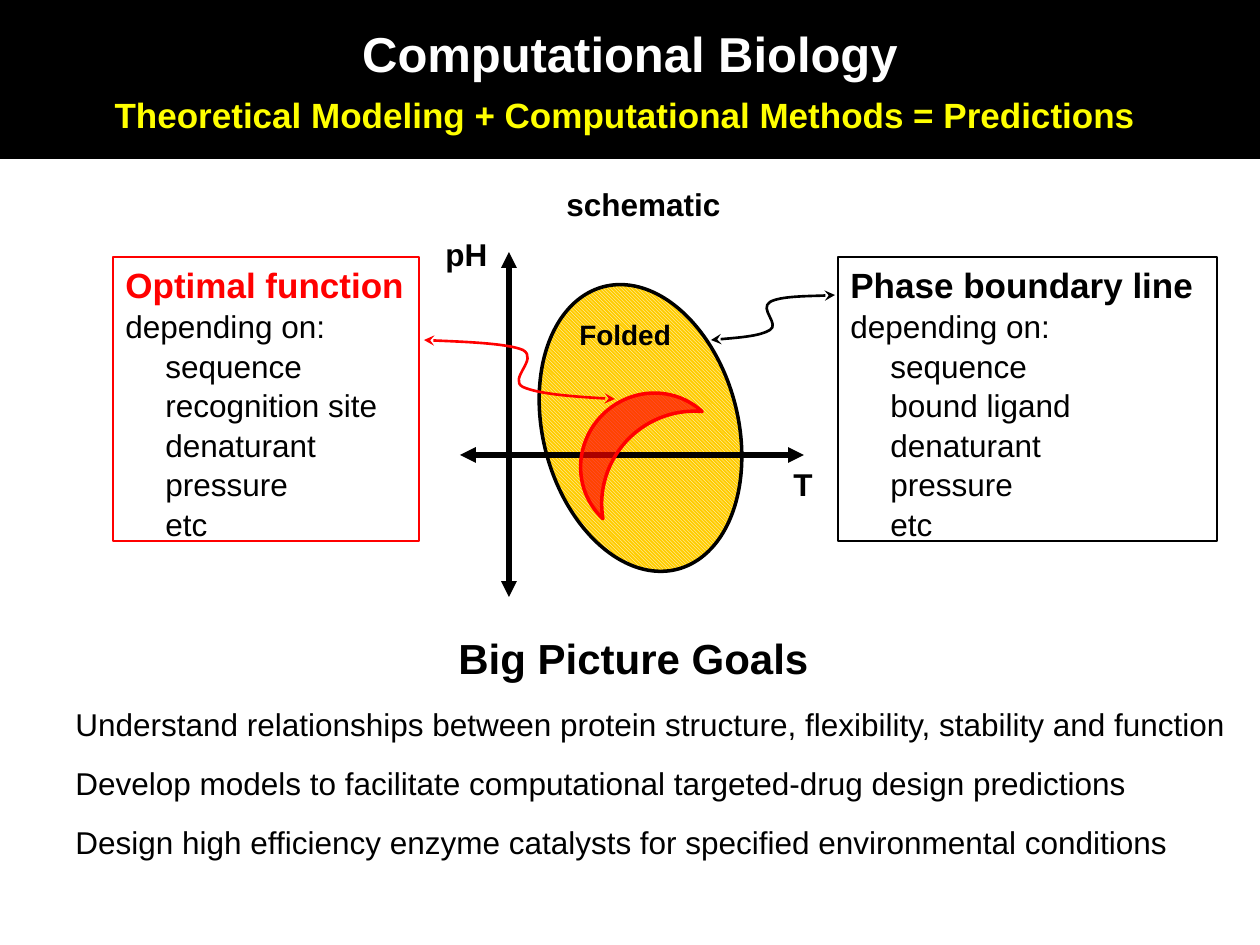
from lxml import etree
from pptx import Presentation, util as u
from pptx.dml.color import RGBColor
from pptx.enum import dml, shapes, text
from pptx.oxml import ns

BLACK = RGBColor(0, 0, 0)
WHITE = RGBColor(255, 255, 255)
RED = RGBColor(255, 0, 0)
YELLOW = RGBColor(255, 255, 0)
GOLD = RGBColor(255, 204, 0)
SCALE = u.Inches(1) / 126
FACTORS = ["denaturant", "pressure", "etc"]


def px(*lengths):
    """Turn pixel lengths into EMU."""
    return [u.Emu(round(length * SCALE)) for length in lengths]


def apply(target, values):
    """Set each attribute named in values on the target."""
    for name, value in values.items():
        setattr(target, name, value)


def write(paragraph, words, size, color=BLACK, bold=False):
    """Fill a paragraph with one run of formatted words."""
    run = paragraph.add_run()
    run.text = words
    apply(run.font, {"name": "Arial", "size": u.Pt(size), "bold": bold})
    run.font.color.rgb = color


def add_label(slide, box, words, size, bold=True):
    """Place a single line of text in the box."""
    label = slide.shapes.add_textbox(*px(*box))
    apply(label.text_frame, {"word_wrap": False,
                             "auto_size": text.MSO_AUTO_SIZE.SHAPE_TO_FIT_TEXT})
    write(label.text_frame.paragraphs[0], words, size, bold=bold)


def outline(shape, color, width):
    """Give a shape or connector a solid line."""
    shape.line.color.rgb = color
    shape.line.width = u.Pt(width)


def add_arrowheads(shape, kind):
    """Put the same arrowhead on both ends of a line."""
    line = shape._element.spPr.find(ns.qn("a:ln"))
    for end in ("a:headEnd", "a:tailEnd"):
        etree.SubElement(line, ns.qn(end), type=kind)


def add_axis(slide, start, end):
    """Draw a double-headed axis between two points."""
    axis = slide.shapes.add_connector(shapes.MSO_CONNECTOR.STRAIGHT, *px(*start, *end))
    outline(axis, BLACK, 3)
    add_arrowheads(axis, "triangle")
    etree.SubElement(axis._element.spPr, ns.qn("a:effectLst"))


def add_pointer(slide, origin, points, color):
    """Draw a double-headed Bezier curve through the control points."""
    builder = slide.shapes.build_freeform(*points[0], scale=SCALE)
    builder.add_line_segments(points[1:], close=False)
    pointer = builder.convert_to_shape(*px(*origin))
    segments = list(pointer._element.iter(ns.qn("a:lnTo")))
    for first in range(0, len(segments), 3):
        curve = etree.Element(ns.qn("a:cubicBezTo"))
        segments[first].addprevious(curve)
        for segment in segments[first:first + 3]:
            curve.append(segment[0])
            segment.getparent().remove(segment)
    pointer.fill.background()
    pointer.shadow.inherit = False
    outline(pointer, color, 1.5)
    add_arrowheads(pointer, "stealth")


def add_header(slide, box):
    """Place the title band with its subtitle."""
    band = slide.shapes.add_shape(shapes.MSO_SHAPE.RECTANGLE, *px(*box))
    band.shadow.inherit = False
    band.fill.solid()
    band.fill.fore_color.rgb = BLACK
    band.line.fill.background()
    frame = band.text_frame
    apply(frame, {"word_wrap": True, "vertical_anchor": text.MSO_ANCHOR.MIDDLE})
    title, subtitle = frame.paragraphs[0], frame.add_paragraph()
    for paragraph in (title, subtitle):
        paragraph.alignment = text.PP_ALIGN.CENTER
    subtitle.space_before = u.Pt(6)
    write(title, "Computational Biology", 28, WHITE, True)
    write(subtitle, "Theoretical Modeling + Computational Methods = Predictions ",
          20, YELLOW, True)


def add_factor_box(slide, box, heading, factors, color):
    """Place a framed heading with the factors it depends on."""
    panel = slide.shapes.add_shape(shapes.MSO_SHAPE.RECTANGLE, *px(*box))
    panel.shadow.inherit = False
    panel.fill.background()
    outline(panel, color, 1.25)
    frame = panel.text_frame
    apply(frame, {"word_wrap": False, "vertical_anchor": text.MSO_ANCHOR.TOP})
    for index, words in enumerate([heading, "depending on:", *factors]):
        paragraph = frame.add_paragraph() if index else frame.paragraphs[0]
        is_factor = index > 1
        apply(paragraph, {"alignment": text.PP_ALIGN.LEFT, "level": int(is_factor),
                          "space_before": u.Pt(1 if index else 0)})
        margin, indent = px(40, 0) if is_factor else px(24, -24)
        properties = paragraph._p.get_or_add_pPr()
        properties.set("marL", str(margin))
        properties.set("indent", str(indent))
        if index:
            write(paragraph, words, 18)
        else:
            write(paragraph, words, 20, color, True)


def add_schematic(slide, left, top):
    """Draw the pH and T axes with the folded and optimal regions."""
    def at(x, y, *size):
        return (left + x, top + y, *size)

    add_label(slide, at(134, 9, 179, 50), "schematic", 18)
    add_label(slide, at(13, 59, 67, 50), "pH", 18)
    add_label(slide, at(361, 289, 44, 50), "T", 18)
    add_axis(slide, at(89, 427), at(89, 82))

    folded = slide.shapes.add_shape(shapes.MSO_SHAPE.OVAL, *px(*at(123, 112, 195, 292)))
    folded.rotation = 345.3
    folded.fill.patterned()
    folded.fill.pattern = dml.MSO_PATTERN.LIGHT_DOWNWARD_DIAGONAL
    folded.fill.fore_color.rgb = WHITE
    folded.fill.back_color.rgb = GOLD
    outline(folded, BLACK, 2)
    add_axis(slide, at(384, 285), at(40, 285))
    add_label(slide, at(147, 141, 117, 47), "Folded", 16)

    optimum = slide.shapes.add_shape(shapes.MSO_SHAPE.MOON, *px(*at(171, 198, 71, 146)))
    optimum.rotation = 42.8
    optimum.fill.solid()
    optimum.fill.fore_color.rgb = RED
    tint = optimum._element.spPr.find(ns.qn("a:solidFill"))[0]
    etree.SubElement(tint, ns.qn("a:alpha"), val="67000")
    outline(optimum, RED, 2)
    for region in (folded, optimum):
        region.shadow.inherit = False

    add_pointer(slide, at(0, 0), [
        (291, 170), (315, 168), (340, 166), (350, 160), (360, 154),
        (339, 139), (350, 132), (360, 126), (403, 126), (415, 125)], BLACK)
    add_pointer(slide, at(0, 0), [
        (195, 229), (157, 227), (119, 224), (103, 217), (88, 209),
        (119, 189), (103, 180), (87, 173), (22, 171), (4, 170)], RED)


def add_goals(slide, left, top):
    """Place the goals heading and its evenly spaced statements."""
    add_label(slide, (left + 383, top, 375, 63), "Big Picture Goals", 24)
    goals = [
        ("Understand relationships between protein structure, flexibility, "
         "stability and function", 1186),
        ("Develop models to facilitate computational targeted-drug design predictions", 1094),
        ("Design high efficiency enzyme catalysts for specified environmental conditions", 1164),
    ]
    for row, (goal, width) in enumerate(goals):
        add_label(slide, (left, top + 73 + row * 59, width, 50), goal, 18, False)


def main():
    """Build the slide and save it."""
    deck = Presentation()
    apply(deck, {"slide_width": u.Inches(10), "slide_height": u.Inches(7.5)})
    slide = deck.slides.add_slide(deck.slide_layouts[6])
    add_header(slide, (0, 0, 1260, 159))
    add_schematic(slide, 420, 170)
    add_factor_box(slide, (113, 257, 306, 284), "Optimal function",
                   ["sequence", "recognition site", *FACTORS], RED)
    add_factor_box(slide, (838, 257, 379, 284), "Phase boundary line",
                   ["sequence", "bound ligand", *FACTORS], BLACK)
    add_goals(slide, 63, 626)
    deck.save("out.pptx")


if __name__ == "__main__":
    main()
